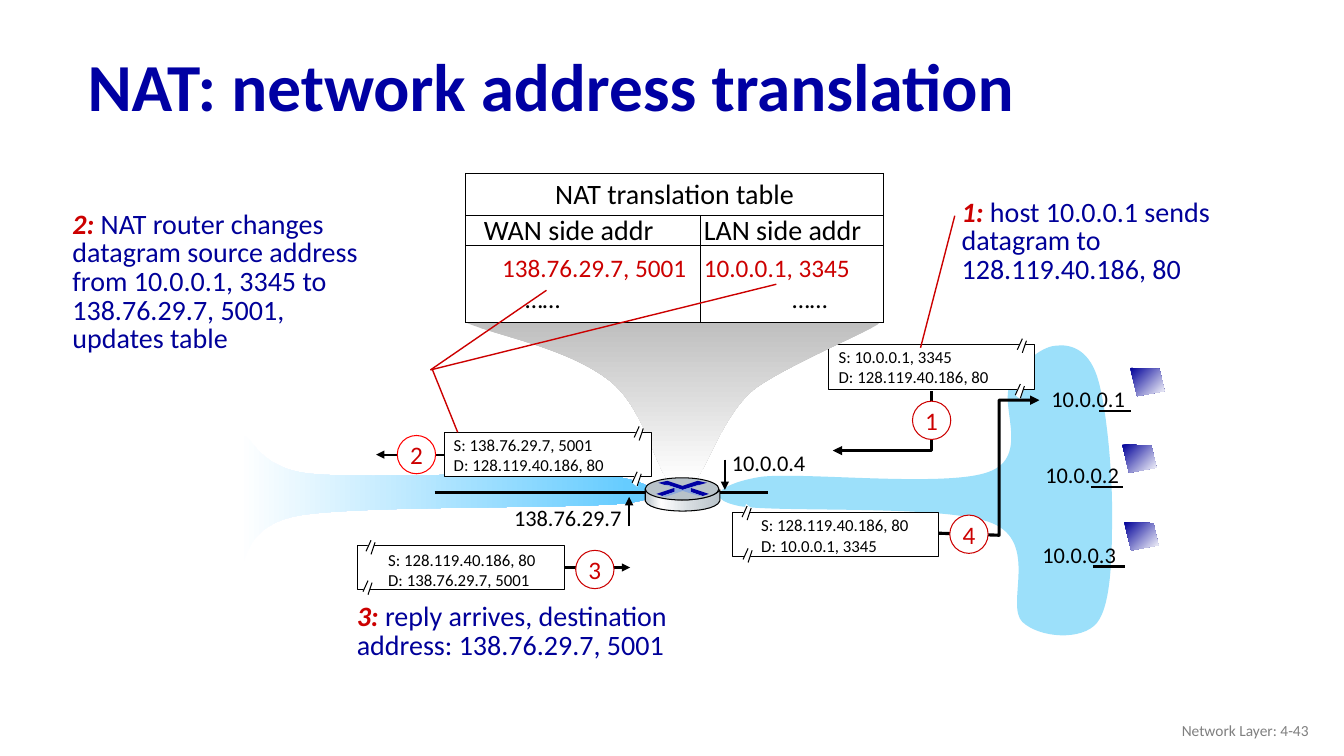
from dataclasses import dataclass

from lxml.etree import SubElement
from pptx import Presentation
from pptx.dml.color import RGBColor
from pptx.enum.shapes import MSO_CONNECTOR, MSO_SHAPE
from pptx.enum.text import MSO_ANCHOR as ANCHOR, PP_ALIGN as ALIGN
from pptx.oxml import parse_xml
from pptx.oxml.ns import nsdecls, qn
from pptx.util import Pt

PX = 9144  # 100 px to the inch


@dataclass(frozen=True)
class Theme:
    font: str = "Calibri"
    black: str = "000000"
    white: str = "FFFFFF"
    grey: str = "7F7F7F"
    title: str = "0000A3"
    navy: str = "000099"
    red: str = "CC0000"
    bright_red: str = "FF0000"
    lan: str = "9CE0FA"
    wan: str = "66CCFF"
    funnel: str = "BFBFBF"
    metal: str = "B8C2C9"
    metal_light: str = "D6DCE0"
    arrow_side: str = "8DA9DB"
    title_pt: int = 48
    body_pt: int = 20
    entry_pt: int = 18
    address_pt: int = 16
    packet_pt: int = 12
    footer_pt: int = 11


T = Theme()
rgb = RGBColor.from_string
prs = Presentation()
prs.slide_width, prs.slide_height = 1333 * PX, 750 * PX
slide = prs.slides.add_slide(prs.slide_layouts[6])
shapes = slide.shapes


def stroke(sp, width, color=T.black, arrow=False):
    """Set the line (width 0 for none), an optional end arrow, and no shadow."""
    if width:
        sp.line.width = Pt(width)
        sp.line.color.rgb = rgb(color)
    else:
        sp.line.fill.background()
    if arrow:
        SubElement(sp.line._get_or_add_ln(), qn("a:tailEnd"), type="triangle")
    SubElement(sp._element.spPr, qn("a:effectLst"))


def outline(start, *segments, fill=None, angle=0, width=0, closed=True, arrow=False):
    """Draw segments: 2 numbers make a line, 6 a Bezier curve.

    fill is a colour, or a list of (percent, colour) gradient stops.
    """
    first, *rest = [(x * PX, y * PX) for x, y in (start, *(seg[-2:] for seg in segments))]
    builder = shapes.build_freeform(*first)
    builder.add_line_segments(rest, close=closed)
    sp = builder.convert_to_shape()
    spPr = sp._element.spPr
    for seg, step in zip(segments, list(spPr.iter(qn("a:lnTo")))):
        if len(seg) == 6:
            curve = SubElement(step.getparent(), qn("a:cubicBezTo"))
            for x, y in zip(seg[::2], seg[1::2]):
                SubElement(curve, qn("a:pt"), x=str(x * PX - sp.left), y=str(y * PX - sp.top))
            step.getparent().replace(step, curve)
    if isinstance(fill, str):
        sp.fill.solid()
        sp.fill.fore_color.rgb = rgb(fill)
    else:
        sp.fill.background()
    if isinstance(fill, list):
        stops = "".join(f'<a:gs pos="{pos * 1000}"><a:srgbClr val="{c}"/></a:gs>' for pos, c in fill)
        spPr.replace(spPr.find(qn("a:noFill")), parse_xml(
            f'<a:gradFill {nsdecls("a")} rotWithShape="1"><a:gsLst>{stops}</a:gsLst>'
            f'<a:lin ang="{angle * 60000}" scaled="0"/></a:gradFill>'))
    stroke(sp, width, arrow=arrow)


# WAN and LAN clouds
outline((598, 471), (545, 466, 368, 476, 308, 470), (248, 464, 249, 421, 237, 435),
        (225, 450, 227, 544, 237, 557), (247, 569, 235, 521, 299, 511),
        (363, 501, 573, 505, 623, 499), (673, 492, 641, 476, 598, 471),
        fill=[(0, T.white), (100, T.wan)])
outline((755, 473), (796, 468, 940, 484, 981, 468), (1022, 453, 991, 402, 1002, 381),
        (1013, 360, 1033, 344, 1047, 343), (1061, 341, 1079, 346, 1088, 373),
        (1097, 400, 1103, 464, 1103, 505), (1103, 546, 1103, 599, 1088, 618),
        (1073, 636, 1031, 633, 1014, 617), (997, 600, 1031, 538, 984, 519),
        (938, 500, 771, 509, 733, 502), (695, 494, 717, 479, 755, 473), fill=T.lan)

# Packets: number, box left, top and width, text inset left and top, source,
# destination, break offsets, circle left and top, ring colour, route
packets = [
    (1, 822, 342, 204, 10, 0, "10.0.0.1, 3345", "128.119.40.186, 80", [(187, -8), (185, 37)],
     905, 398, T.red, [(924, 388), (924, 447), (826, 447)]),
    (4, 727, 508, 204, 28, 2, "128.119.40.186, 80", "10.0.0.1, 3345", [(9, -8), (10, 34)],
     942, 511, T.red, [(931, 529), (991, 531), (991, 397), (1031, 397)]),
    (2, 441, 429, 205, 9, 0, "138.76.29.7, 5001", "128.119.40.186, 80", [(188, -8), (186, 37)],
     394, 432, T.bright_red, [(441, 451), (373, 451)]),
    (3, 355, 541, 205, 30, 4, "128.119.40.186, 80", "138.76.29.7, 5001", [(8, -7), (5, 33)],
     571, 546, T.red, [(560, 563), (625, 563)]),
]
for number, left, top, wide, inset, drop, source, dest, breaks, cx, cy, ring, route in packets:
    box = shapes.add_shape(MSO_SHAPE.RECTANGLE, left * PX, top * PX, wide * PX, 44 * PX)
    stroke(box, 0.75)
    for dx, dy in breaks:
        x, y = left + dx, top + dy
        outline((x + 4, y), (x, y + 13), (x + 5, y + 17), (x + 9, y + 4), fill=T.white)
        for x1, y1, x2, y2 in [(5, 2, 0, 13), (9, 4, 5, 16)]:
            stroke(shapes.add_connector(MSO_CONNECTOR.STRAIGHT, (x + x1) * PX, (y + y1) * PX,
                                        (x + x2) * PX, (y + y2) * PX), 0.75)
    if len(route) == 2:
        (x1, y1), (x2, y2) = route
        link = shapes.add_connector(MSO_CONNECTOR.STRAIGHT, x1 * PX, y1 * PX, x2 * PX, y2 * PX)
        link.begin_connect(box, 1 if x2 < x1 else 3)
        stroke(link, 1.5, arrow=True)
    else:
        outline(*route, width=2.25, closed=False, arrow=True)
    circle = shapes.add_shape(MSO_SHAPE.OVAL, cx * PX, cy * PX, 38 * PX, 38 * PX)
    stroke(circle, 0.75, ring)
    for sp, text, size, color, align, margin, margin_top in [
            (box, f"S: {source}\nD: {dest}", T.packet_pt, T.black, ALIGN.LEFT, inset, drop),
            (circle, str(number), T.entry_pt, T.red, ALIGN.CENTER, 0, 0)]:
        sp.fill.solid()
        sp.fill.fore_color.rgb = rgb(T.white)
        tf = sp.text_frame
        tf.text = text
        tf.word_wrap = True
        tf.vertical_anchor = ANCHOR.MIDDLE
        tf.margin_left, tf.margin_top = margin * PX, margin_top * PX
        tf.margin_right = tf.margin_bottom = 0
        for p in tf.paragraphs:
            p.alignment = align
            p.font.name, p.font.size, p.font.color.rgb = T.font, Pt(size), rgb(color)
    if number == 1:  # the funnel covers the left edge of packet 1 only
        outline((462, 320), (462, 320, 823, 309, 871, 320), (885, 319, 777, 363, 747, 387),
                (717, 412, 702, 463, 689, 477), (663, 477), (649, 460, 638, 404, 605, 378),
                (563, 345, 495, 334, 462, 320),
                fill=[(0, T.funnel), (100, T.white)], angle=90)

# NAT translation table: height, anchor, size, colour, line spacing, (text, left margin) cells
rows = [
    (42, ANCHOR.MIDDLE, T.body_pt, T.black, 1.0, [("NAT translation table", 0), ("", 0)]),
    (30, ANCHOR.BOTTOM, T.body_pt, T.black, 0.85, [("WAN side addr", 18), ("LAN side addr", 3)]),
    (38, ANCHOR.BOTTOM, T.entry_pt, T.red, 1.0, [("138.76.29.7, 5001", 36), ("10.0.0.1, 3345", 3)]),
    (38, ANCHOR.TOP, T.entry_pt, T.black, 1.0, [("……", 59), ("……", 91)]),
]
table = shapes.add_table(4, 2, 462 * PX, 172 * PX, 414 * PX, 148 * PX).table
table.first_row = table.horz_banding = False
for column, width in zip(table.columns, (233, 181)):
    column.width = width * PX
table.cell(0, 0).merge(table.cell(0, 1))
for i, (height, anchor, size, color, spacing, cells) in enumerate(rows):
    table.rows[i].height = height * PX
    for j, (text, margin) in enumerate(cells):
        cell = table.cell(i, j)
        cell.text = text
        cell.vertical_anchor = anchor
        cell.margin_left = margin * PX
        cell.margin_right = cell.margin_top = cell.margin_bottom = 0
        cell.fill.solid()
        cell.fill.fore_color.rgb = rgb(T.white)
        p = cell.text_frame.paragraphs[0]
        p.alignment = ALIGN.CENTER if i == 0 else ALIGN.LEFT
        p.line_spacing = spacing
        p.font.name, p.font.size, p.font.color.rgb = T.font, Pt(size), rgb(color)
        for k, side in enumerate(("lnL", "lnR", "lnT", "lnB")):
            hidden = (i, side) in [(2, "lnB"), (3, "lnT")]
            paint = "<a:noFill/>" if hidden else f'<a:solidFill><a:srgbClr val="{T.black}"/></a:solidFill>'
            cell._tc.get_or_add_tcPr().insert(k, parse_xml(
                f'<a:{side} {nsdecls("a")} w="9525">{paint}</a:{side}>'))

# Host screens
for x, y in [(1121, 365), (1113, 441), (1115, 518)]:
    outline((x, y), (x + 29, y + 1), (x + 34, y + 23), (x + 7, y + 28),
            fill=[(0, T.navy), (100, T.white)], angle=45)

# Callout leaders, host links, router link and address pointers
lines = [
    (947, 214, 913, 345, 1, T.red, False), (429, 367, 454, 429, 1, T.red, False),
    (427, 367, 542, 288, 1, T.red, False), (427, 367, 770, 282, 1, T.red, False),
    (1090, 408, 1122, 408, 1.5, T.black, False), (1082, 483, 1114, 483, 1.5, T.black, False),
    (1084, 562, 1116, 562, 1.5, T.black, False), (431, 489, 762, 489, 2, T.black, False),
    (624, 522, 624, 493, 1.5, T.black, True), (719, 456, 719, 486, 1.5, T.black, True),
]
for *ends, width, color, arrow in lines:
    stroke(shapes.add_connector(MSO_CONNECTOR.STRAIGHT, *(v * PX for v in ends)), width, color, arrow)

# Router
outline((714, 486), (714, 497), (711, 505, 690, 507, 677, 507), (665, 507, 643, 505, 640, 497),
        (640, 485), (644, 492, 665, 496, 677, 496), (689, 496, 710, 493, 714, 486), width=0.75,
        fill=[(0, T.metal), (21, T.white), (60, T.metal_light), (100, T.metal)])
lid = shapes.add_shape(MSO_SHAPE.OVAL, 640 * PX, 474 * PX, 73 * PX, 22 * PX)
lid.fill.solid()
lid.fill.fore_color.rgb = rgb(T.metal)
stroke(lid, 0.75)
outline((692, 477), (701, 479), (694, 481), (693, 481), (677, 486), (662, 481), (659, 481),
        (653, 479), (662, 477), (677, 482), fill=T.title)
outline((685, 484), (703, 490), (697, 492), (685, 488), fill=T.title)
outline((669, 484), (669, 488), (657, 492), (651, 490), fill=T.title)
outline((659, 481), (662, 481), (677, 486), (693, 481), (695, 481), (685, 484), (685, 488),
        (696, 492), (693, 492), (677, 487), (660, 493), (657, 492), (669, 488), (669, 484),
        fill=T.arrow_side)

# Texts: left, top, width, height, step number, paragraphs, size, colour, line spacing
texts = [
    (77, 31, 1150, 117, "", "NAT: network address translation", T.title_pt, T.title, 0.9),
    (944, 193, 336, 96, "1: ", "host 10.0.0.1 sends datagram to 128.119.40.186, 80", T.body_pt, T.navy, 0.85),
    (62, 205, 345, 153, "2: ", "NAT router changes datagram source address from 10.0.0.1, 3345 to "
     "138.76.29.7, 5001,\nupdates table", T.body_pt, T.navy, 0.85),
    (344, 594, 389, 68, "3: ", "reply arrives, destination address: 138.76.29.7, 5001", T.body_pt, T.navy, 0.85),
    (716, 441, 94, 37, "", "10.0.0.4", T.address_pt, T.black, 1.0),
    (500, 495, 128, 37, "", "138.76.29.7", T.address_pt, T.black, 1.0),
    (1033, 377, 94, 37, "", "10.0.0.1", T.address_pt, T.black, 1.0),
    (1027, 453, 94, 37, "", "10.0.0.2", T.address_pt, T.black, 1.0),
    (1024, 532, 94, 37, "", "10.0.0.3", T.address_pt, T.black, 1.0),
    (1008, 705, 300, 40, "", "Network Layer: 4-43", T.footer_pt, T.grey, 1.0),
]
for left, top, width, height, step, text, size, color, spacing in texts:
    tf = shapes.add_textbox(left * PX, top * PX, width * PX, height * PX).text_frame
    tf.word_wrap = True
    tf.vertical_anchor = ANCHOR.MIDDLE if size in (T.title_pt, T.footer_pt) else ANCHOR.TOP
    for i, part in enumerate(text.split("\n")):
        p = tf.add_paragraph() if i else tf.paragraphs[0]
        p.line_spacing = spacing
        p.alignment = ALIGN.RIGHT if size == T.footer_pt else ALIGN.LEFT
        for run_text in ([step] if step and not i else []) + [part]:
            r = p.add_run()
            r.text = run_text
            is_step = run_text == step
            r.font.name, r.font.size = T.font, Pt(size)
            r.font.color.rgb = rgb(T.red if is_step else color)
            r.font.bold = is_step or size == T.title_pt
            r.font.italic = is_step

prs.save("out.pptx")
